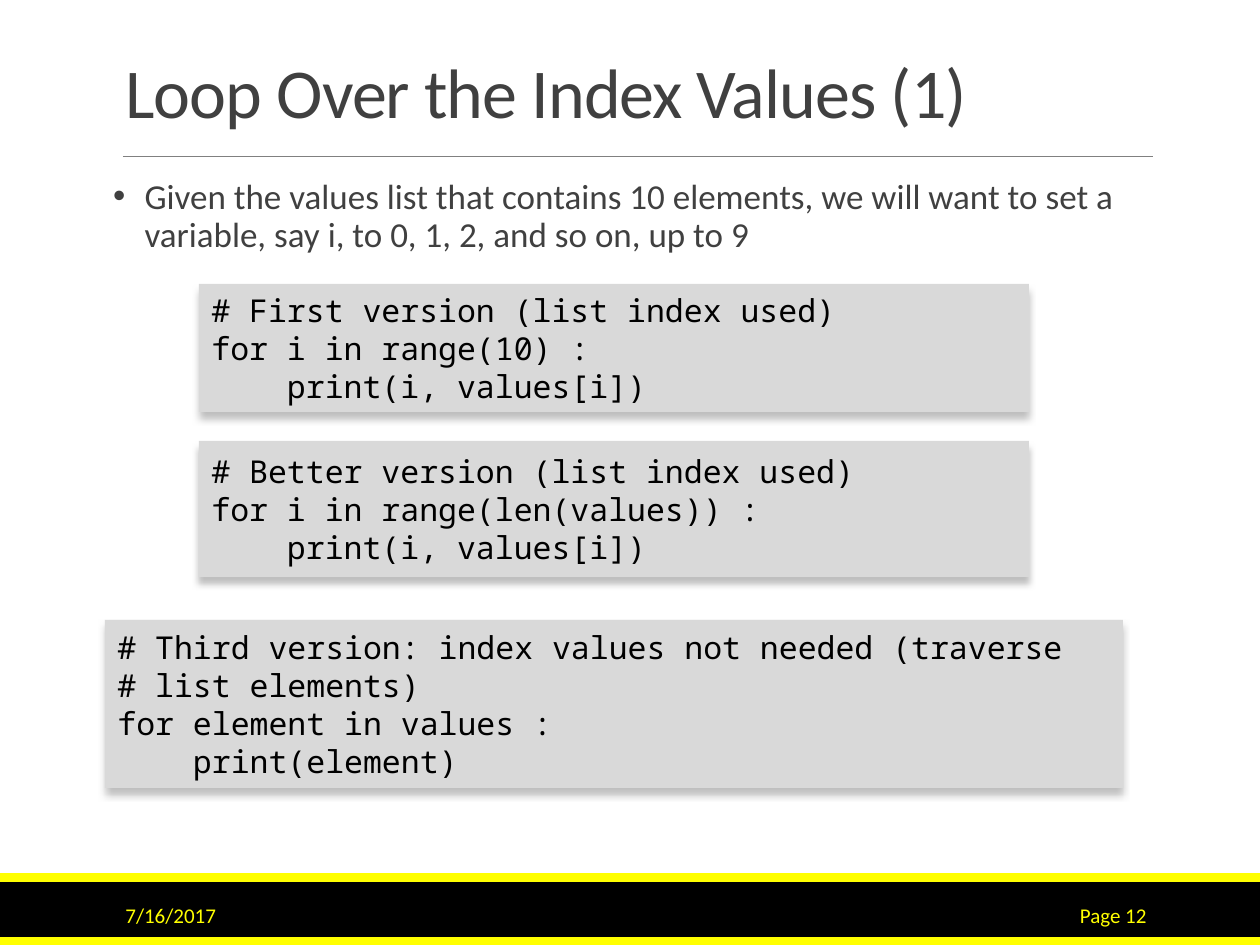
"""Build the slide about looping over the index values of a list."""
from lxml import etree
from pptx import Presentation
from pptx.dml.color import RGBColor
from pptx.enum.shapes import MSO_CONNECTOR, MSO_SHAPE
from pptx.enum.text import MSO_ANCHOR, PP_ALIGN
from pptx.oxml import parse_xml
from pptx.oxml.ns import nsdecls, qn
from pptx.util import Pt

RECTANGLE = MSO_SHAPE.RECTANGLE
STRAIGHT = MSO_CONNECTOR.STRAIGHT
TOP, MIDDLE, BOTTOM = MSO_ANCHOR.TOP, MSO_ANCHOR.MIDDLE, MSO_ANCHOR.BOTTOM
LEFT, RIGHT = PP_ALIGN.LEFT, PP_ALIGN.RIGHT
EMU_PER_PX = 914400 / 126


def px(*lengths):
    return [round(length * EMU_PER_PX) for length in lengths]


def color(hex_code):
    return RGBColor.from_string(hex_code)


class SlideBuilder:
    text_font, code_font = "Calibri", "Noto Sans Mono"
    ink, black, yellow = "404040", "000000", "FFFF00"
    code_fill, shadow_color, rule_color = "D9D9D9", "BFBFBF", "808080"

    def __init__(self, slide):
        self.slide = slide

    def fill_text(self, frame, text, font, size, hex_code, anchor=TOP, align=LEFT):
        frame.word_wrap = True
        frame.vertical_anchor = anchor
        frame.text = text
        for paragraph in frame.paragraphs:
            paragraph.alignment = align
            for run in paragraph.runs:
                run.font.name = font
                run.font.size = Pt(size)
                run.font.color.rgb = color(hex_code)
        return frame.paragraphs[0]

    def band(self, left, top, width, height, hex_code):
        band = self.slide.shapes.add_shape(RECTANGLE, *px(left, top, width, height))
        band.fill.solid()
        band.fill.fore_color.rgb = color(hex_code)
        band.line.fill.background()
        band.shadow.inherit = False
        return band

    def rule(self, left, right, y):
        rule = self.slide.shapes.add_connector(STRAIGHT, *px(left, y, right, y))
        rule.line.color.rgb = color(self.rule_color)
        rule.line.width = Pt(0.5)
        etree.SubElement(rule._element.spPr, qn("a:effectLst"))

    def text(self, box, text, size, hex_code, anchor=TOP, align=LEFT):
        frame = self.slide.shapes.add_textbox(*px(*box)).text_frame
        return self.fill_text(frame, text, self.text_font, size, hex_code, anchor, align)

    def title(self, box, text):
        heading = self.text(box, text, 40, self.ink, BOTTOM)
        heading.line_spacing = 0.85
        heading.runs[0].font._element.set("spc", "-50")

    def bullet(self, box, text):
        frame = self.slide.shapes.add_textbox(*px(*box)).text_frame
        frame.margin_left = frame.margin_right = 0
        point = self.fill_text(frame, text, self.text_font, 20, self.ink)
        point.line_spacing = 0.9
        point.space_before, point.space_after = Pt(12), Pt(2)
        properties = point._p.get_or_add_pPr()
        properties.set("marL", str(Pt(18)))
        properties.set("indent", str(-Pt(18)))
        etree.SubElement(properties, qn("a:buFont"), typeface="Arial")
        etree.SubElement(properties, qn("a:buChar"), char="•")

    def code(self, box, lines):
        panel = self.band(*box, self.code_fill)
        panel._element.spPr.find(qn("a:effectLst")).append(parse_xml(
            f'<a:outerShdw {nsdecls("a")} blurRad="{Pt(4)}" dist="{Pt(4)}" '
            f'dir="5400000" algn="t" rotWithShape="0">'
            f'<a:srgbClr val="{self.shadow_color}"/></a:outerShdw>'))
        self.fill_text(panel.text_frame, "\n".join(lines), self.code_font, 18,
                       self.black, MIDDLE)


def main():
    deck = Presentation()
    deck.slide_width, deck.slide_height = px(1260, 945)
    builder = SlideBuilder(deck.slides.add_slide(deck.slide_layouts[6]))

    builder.band(0, 882, 1260, 63, builder.black)
    for stripe_top in (873, 937):
        builder.band(0, stripe_top, 1260, 9, builder.yellow)
    builder.rule(123, 1153, 156)

    builder.title((113, 39, 1040, 100), "Loop Over the Index Values (1)")
    builder.bullet((113, 173, 1040, 636),
                   "Given the values list that contains 10 elements, we will want "
                   "to set a variable, say i, to 0, 1, 2, and so on, up to 9")

    versions = [
        ((199, 284, 830, 128), ["# First version (list index used)",
                                "for i in range(10) :",
                                "    print(i, values[i])"]),
        ((199, 441, 830, 136), ["# Better version (list index used)",
                                "for i in range(len(values)) :",
                                "    print(i, values[i])"]),
        ((105, 620, 1018, 168), ["# Third version: index values not needed (traverse",
                                 "# list elements)",
                                 "for element in values :",
                                 "    print(element)"]),
    ]
    for box, lines in versions:
        builder.code(box, lines)

    builder.text((113, 890, 256, 50), "7/16/2017", 12, builder.yellow, MIDDLE)
    builder.text((1023, 890, 136, 50), "Page 12", 12, builder.yellow, MIDDLE, RIGHT)
    deck.save("out.pptx")


if __name__ == "__main__":
    main()
